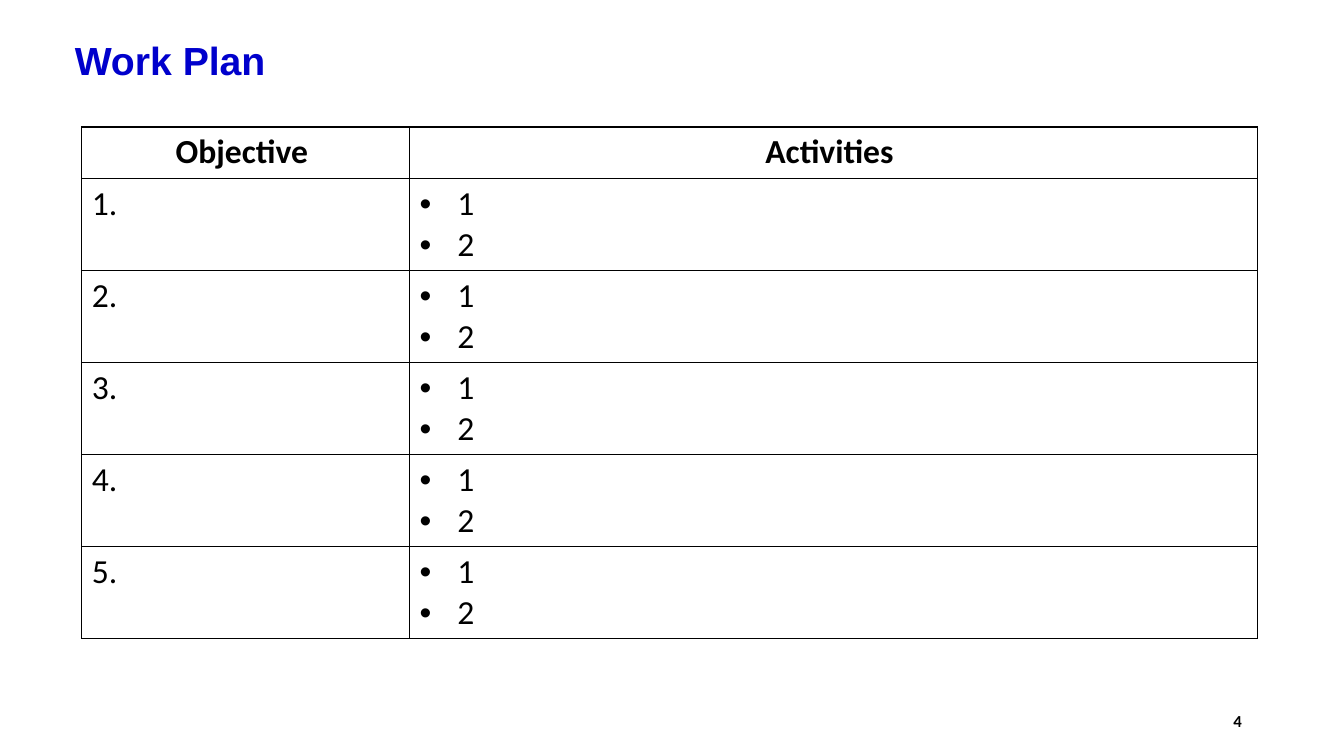
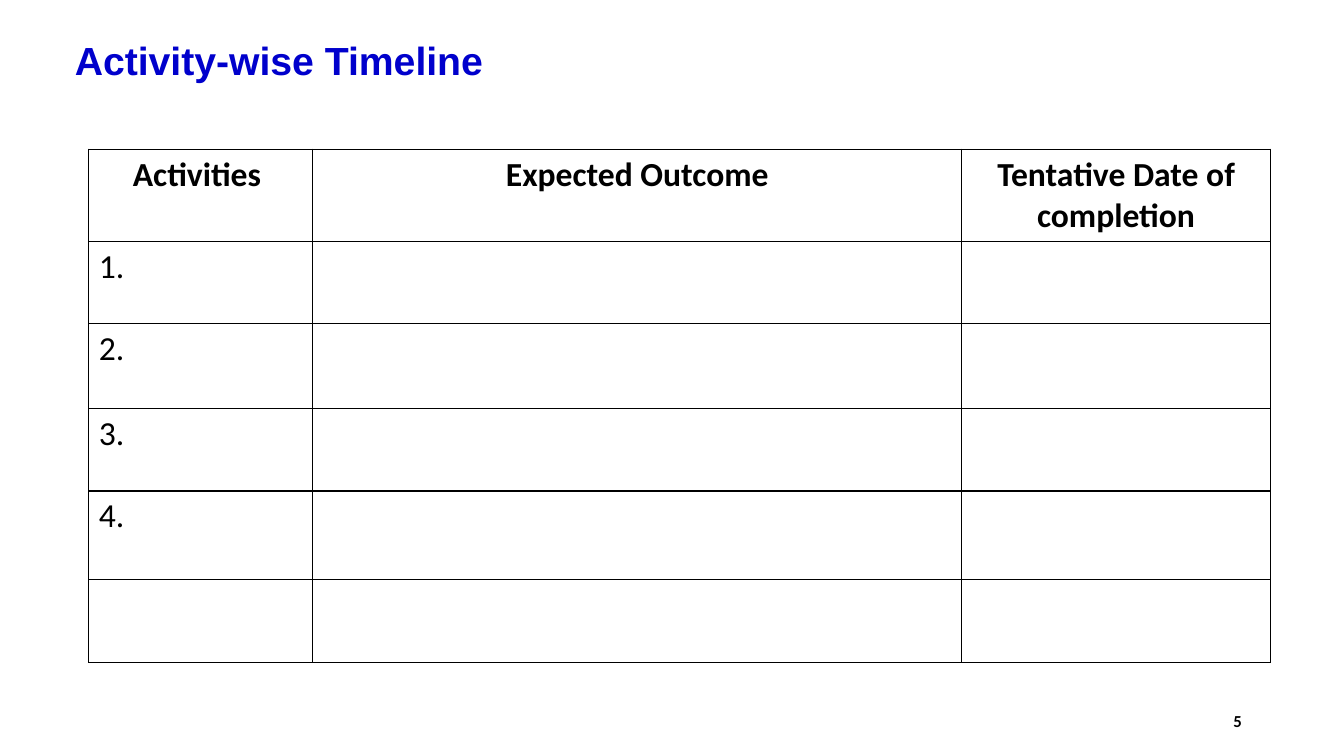
from lxml.etree import SubElement
from pptx import Presentation
from pptx.dml.color import RGBColor
from pptx.enum.text import MSO_ANCHOR, MSO_AUTO_SIZE, PP_ALIGN
from pptx.oxml import parse_xml
from pptx.oxml.ns import nsdecls, qn
from pptx.util import Cm, Pt

# Content
PLANS = [
    {"title": "Work Plan", "page": "4", "at": (2.06, 3.2),
     "cols": (8.26, 21.36),
     "head": ["Objective ", "Activities "],
     "rows": [[f"{n}.", ["1", "2"]] for n in range(1, 6)]},
    {"title": "Activity-wise Timeline", "page": "5", "at": (2.24, 3.76),
     "cols": (5.64, 16.36, 7.77),
     "head": ["Activities ", "Expected Outcome", "Tentative Date of completion"],
     "rows": [[f"{n}.", "", ""] for n in range(1, 5)] + [["", "", ""]]},
]

# Shared look
TITLE = {"name": "Arial", "size": Pt(28), "bold": True, "color": "0000CC"}
PAGE = {"name": "Calibri", "size": Pt(12), "bold": True, "color": "000000"}
HEAD = {**PAGE, "size": Pt(24)}
BODY = {**HEAD, "bold": False}
TITLE_BOX = (1.63, 0.69, 29.21, 1.78)
PAGE_BOX = (23.93, 17.65, 7.62, 1.02)
HEIGHTS = (1.04, 2.08, 2.13, 2.08, 2.24, 2.08)
INDENT = Cm(0.95)
RULE = "000000"


def tint(code):
    return RGBColor.from_string(code)


def write(para, text, look, align=None):
    para.alignment = align
    font = para.font if not text else para.add_run().font
    if text:
        para.runs[0].text = text
    for key, value in look.items():
        if key == "color":
            font.color.rgb = tint(value)
        else:
            setattr(font, key, value)


def bullet(para):
    props = para._p.get_or_add_pPr()
    props.set("marL", str(INDENT))
    props.set("indent", str(-INDENT))
    SubElement(props, qn("a:buFont"), typeface="Arial")
    SubElement(props, qn("a:buChar"), char="•")


def border(cell):
    props = cell._tc.get_or_add_tcPr()
    for pos, side in enumerate(("lnL", "lnR", "lnT", "lnB")):
        props.insert(pos, parse_xml(
            f'<a:{side} {nsdecls("a")} w="{Pt(1)}"><a:solidFill>'
            f'<a:srgbClr val="{RULE}"/></a:solidFill></a:{side}>'))


def fill(cell, value, look, align):
    cell.fill.background()
    border(cell)
    frame = cell.text_frame
    if isinstance(value, str):
        write(frame.paragraphs[0], value, look, align)
        return
    for pos, item in enumerate(value):
        para = frame.add_paragraph() if pos else frame.paragraphs[0]
        write(para, item, look, align)
        bullet(para)


def grid(slide, plan):
    rows = [plan["head"], *plan["rows"]]
    cols = plan["cols"]
    size = (sum(cols), sum(HEIGHTS))
    table = slide.shapes.add_table(
        len(rows), len(cols), *map(Cm, plan["at"] + size)).table
    table.first_row = table.horz_banding = False
    for col, width in zip(table.columns, cols):
        col.width = Cm(width)
    for r, (row, height) in enumerate(zip(rows, HEIGHTS)):
        table.rows[r].height = Cm(height)
        look, align = (BODY, PP_ALIGN.LEFT) if r else (HEAD, PP_ALIGN.CENTER)
        for c, value in enumerate(row):
            fill(table.cell(r, c), value, look, align)


def frame_up(shape):
    frame = shape.text_frame
    style = {"word_wrap": True, "auto_size": MSO_AUTO_SIZE.NONE,
             "vertical_anchor": MSO_ANCHOR.MIDDLE}
    for key, value in style.items():
        setattr(frame, key, value)
    return frame.paragraphs[0]


def build(deck, plan):
    slide = deck.slides.add_slide(deck.slide_layouts[5])

    # Title
    title = slide.shapes.title
    for key, value in zip(("left", "top", "width", "height"), TITLE_BOX):
        setattr(title, key, Cm(value))
    para = frame_up(title)
    para.line_spacing = 0.9
    write(para, plan["title"], TITLE, PP_ALIGN.JUSTIFY)

    # Page number
    page = slide.shapes.add_textbox(*map(Cm, PAGE_BOX))
    write(frame_up(page), plan["page"], PAGE, PP_ALIGN.RIGHT)

    # Table
    grid(slide, plan)


def main():
    deck = Presentation()
    deck.slide_width, deck.slide_height = Cm(33.87), Cm(19.05)
    for plan in PLANS:
        build(deck, plan)
    deck.save("out.pptx")


if __name__ == "__main__":
    main()
